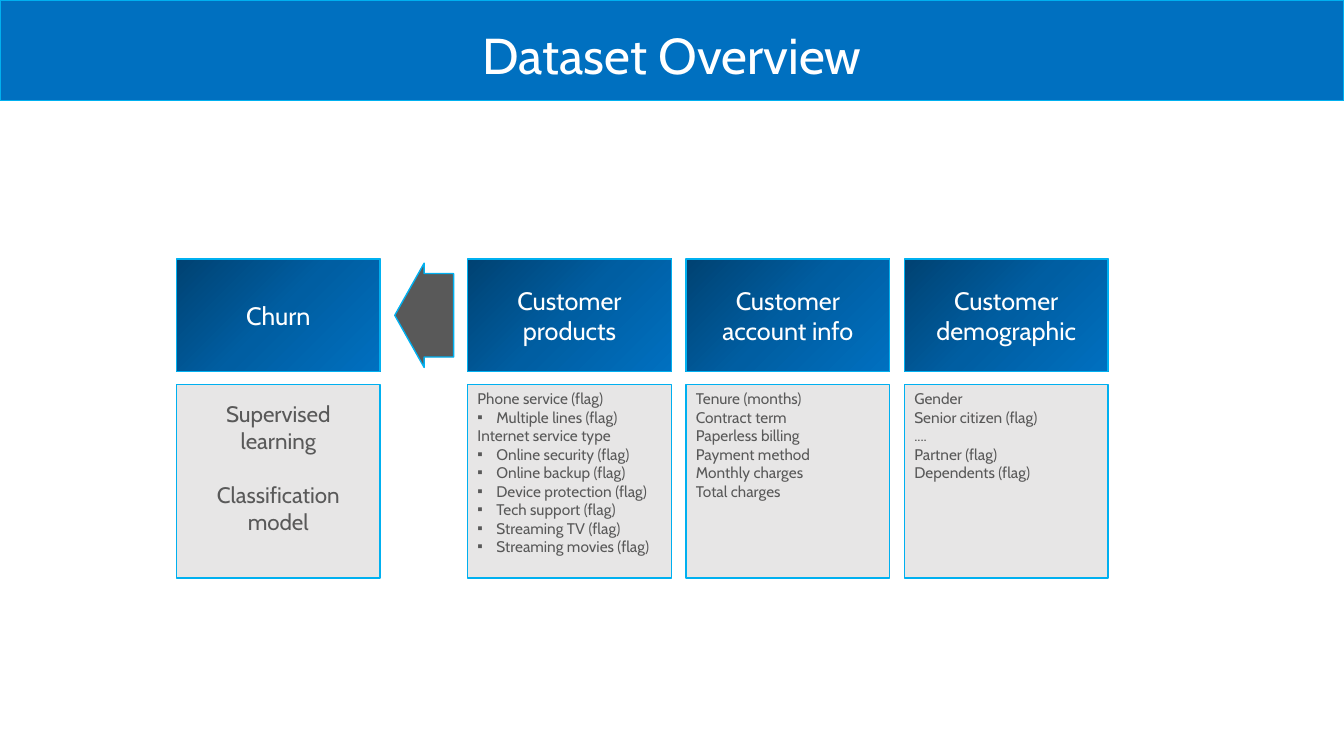
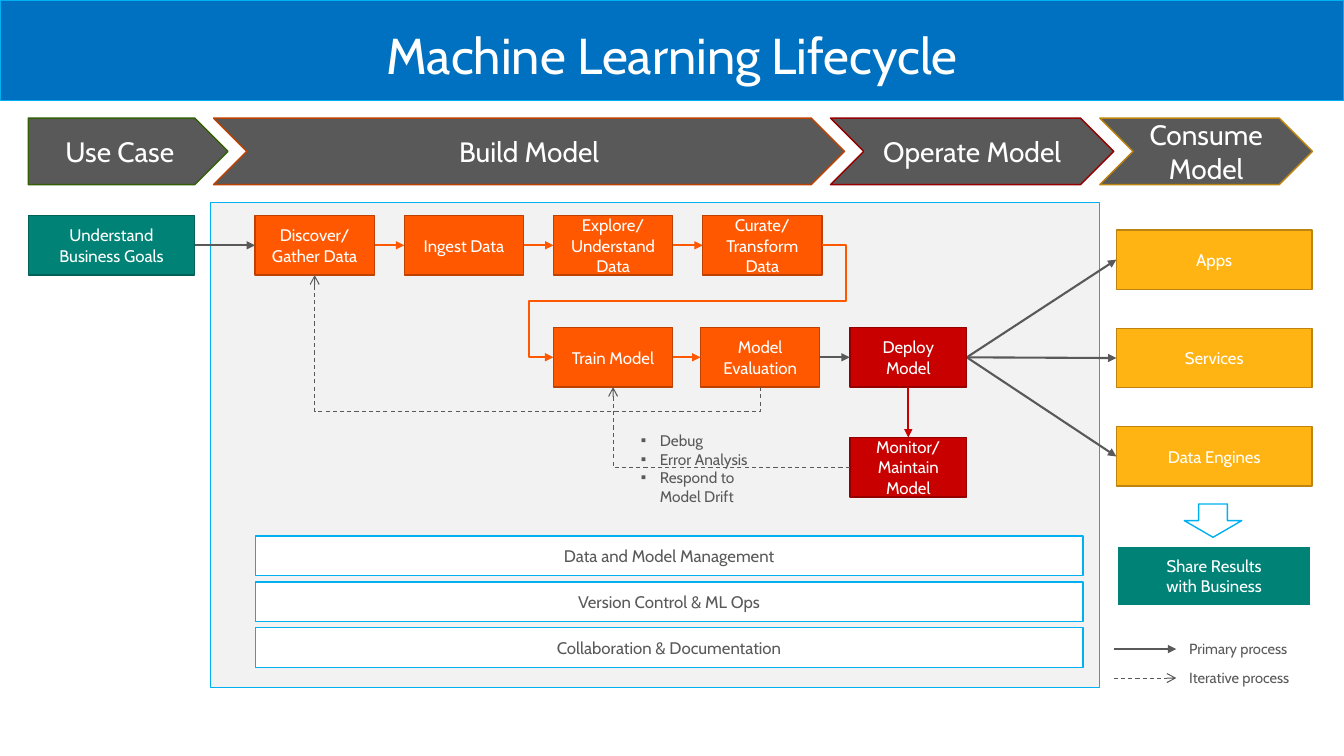
"""Build two slides: a dataset overview and the machine learning lifecycle."""
from copy import deepcopy

from lxml.etree import SubElement
from pptx import Presentation
from pptx.dml.color import RGBColor
from pptx.enum.dml import MSO_LINE
from pptx.enum.shapes import MSO_CONNECTOR, MSO_SHAPE
from pptx.enum.text import MSO_ANCHOR, PP_ALIGN
from pptx.oxml.ns import qn
from pptx.util import Pt

FONT = "Cabin"
WHITE = RGBColor(0xFF, 0xFF, 0xFF)
BLUE = RGBColor(0x00, 0x70, 0xC0)
MIDDLE_BLUE = RGBColor(0x00, 0x5E, 0xA2)
DARK_BLUE = RGBColor(0x00, 0x42, 0x72)
SKY = RGBColor(0x00, 0xB0, 0xF0)
GRAY = RGBColor(0x59, 0x59, 0x59)
LIGHT_GRAY = RGBColor(0xE7, 0xE6, 0xE6)
PALE_GRAY = RGBColor(0xF2, 0xF2, 0xF2)
TEAL = RGBColor(0x00, 0x83, 0x76)
DARK_TEAL = RGBColor(0x00, 0x61, 0x57)
ORANGE = RGBColor(0xFF, 0x58, 0x00)
DARK_ORANGE = RGBColor(0xBD, 0x41, 0x00)
RED = RGBColor(0xC8, 0x00, 0x00)
DARK_RED = RGBColor(0x94, 0x00, 0x00)
YELLOW = RGBColor(0xFF, 0xB4, 0x14)
DARK_YELLOW = RGBColor(0xBD, 0x85, 0x0F)
DARK_GREEN = RGBColor(0x35, 0x5F, 0x07)
BLUE_GRADIENT = (DARK_BLUE, MIDDLE_BLUE, BLUE)
BULLET = "▪"
BULLET_INDENT = Pt(13.5)


def add_box(slide, bounds, text="", kind=MSO_SHAPE.RECTANGLE, fill=None, line=SKY,
            line_width=1, size=12, color=WHITE, align=PP_ALIGN.CENTER,
            anchor=MSO_ANCHOR.MIDDLE, wrap=True, space_before=0, bottom_inset=3.6):
    """Add a shape, or a text box when there is no fill, with formatted text."""
    bounds = [Pt(value) for value in bounds]
    if fill is None:
        shape = slide.shapes.add_textbox(*bounds)
    else:
        shape = slide.shapes.add_shape(kind, *bounds)
        shape.shadow.inherit = False
        shape.line.color.rgb = line
        shape.line.width = Pt(line_width)
        if fill is BLUE_GRADIENT:
            shape.fill.gradient()
            shape.fill.gradient_angle = 315
            stops = shape._element.find(".//" + qn("a:gsLst"))
            stops.insert(1, deepcopy(stops[0]))
            for index, stop in enumerate(shape.fill.gradient_stops):
                stop.color.rgb = fill[index]
                stop.position = index / 2
        else:
            shape.fill.solid()
            shape.fill.fore_color.rgb = fill
    if not text:
        return shape
    frame = shape.text_frame
    frame.word_wrap = wrap
    frame.vertical_anchor = anchor
    frame.margin_bottom = Pt(bottom_inset)
    for index, content in enumerate(text.split("\n")):
        paragraph = frame.add_paragraph() if index else frame.paragraphs[0]
        paragraph.text = content.removeprefix(BULLET)
        paragraph.alignment = align
        if index and space_before:
            paragraph.space_before = Pt(space_before)
        if content.startswith(BULLET):
            properties = paragraph._p.get_or_add_pPr()
            properties.set("marL", str(BULLET_INDENT))
            properties.set("indent", str(-BULLET_INDENT))
            SubElement(properties, qn("a:buFont"), typeface="Arial")
            SubElement(properties, qn("a:buChar"), char=BULLET)
        for run in paragraph.runs:
            run.font.name = FONT
            run.font.size = Pt(size)
            run.font.color.rgb = color
    return shape


def add_arrow(slide, begin, end, color=GRAY, iterative=False, preset="line",
              adjustments=(), rotation=0):
    """Add an arrow; an elbow preset may be turned by quarter turns."""
    center_x, center_y = (begin[0] + end[0]) / 2, (begin[1] + end[1]) / 2
    half_x, half_y = end[0] - center_x, end[1] - center_y
    for turn in range(rotation // 90):
        half_x, half_y = half_y, -half_x
    connector = slide.shapes.add_connector(
        MSO_CONNECTOR.STRAIGHT, Pt(center_x - half_x), Pt(center_y - half_y),
        Pt(center_x + half_x), Pt(center_y + half_y))
    connector.line.color.rgb = color
    connector.line.width = Pt(0.75 if iterative else 1.5)
    if iterative:
        connector.line.dash_style = MSO_LINE.DASH
    properties = connector._element.spPr
    SubElement(properties.find(qn("a:ln")), qn("a:tailEnd"),
               type="arrow" if iterative else "triangle")
    SubElement(properties, qn("a:effectLst"))
    if rotation:
        properties.find(qn("a:xfrm")).set("rot", str(rotation * 60000))
    geometry = properties.find(qn("a:prstGeom"))
    geometry.set("prst", preset)
    for number, value in enumerate(adjustments, 1):
        SubElement(geometry.find(qn("a:avLst")), qn("a:gd"), name=f"adj{number}",
                   fmla=f"val {round(value * 100000)}")


presentation = Presentation()
presentation.slide_width = Pt(960)
presentation.slide_height = Pt(540)
slides = []
for title in ("Dataset Overview", "Machine Learning Lifecycle"):
    slide = presentation.slides.add_slide(presentation.slide_layouts[6])
    add_box(slide, (0, 0, 960, 72), fill=BLUE)
    add_box(slide, (0, 13.7, 960, 51), title, size=36, anchor=MSO_ANCHOR.TOP)
    slides.append(slide)
overview, lifecycle = slides

CARD_WIDTH = 145.6
feature_cards = [
    ("Customer products",
     "Phone service (flag)\n▪Multiple lines (flag)\nInternet service type\n"
     "▪Online security (flag)\n▪Online backup (flag)\n▪Device protection (flag)\n"
     "▪Tech support (flag)\n▪Streaming TV (flag)\n▪Streaming movies (flag)"),
    ("Customer account info",
     "Tenure (months)\nContract term\nPaperless billing\nPayment method\n"
     "Monthly charges\nTotal charges"),
    ("Customer demographic",
     "Gender\nSenior citizen (flag)\n....\nPartner (flag)\nDependents (flag)"),
]
target_style = dict(size=16, space_before=19.3, bottom_inset=22.9)
feature_style = dict(size=11, align=PP_ALIGN.LEFT, anchor=MSO_ANCHOR.TOP)
cards = [(126, "Churn", "Supervised learning\nClassification model", target_style)]
for index, (heading, details) in enumerate(feature_cards):
    cards.append((334 + 156 * index, heading, details, feature_style))
for left, heading, details, style in cards:
    add_box(overview, (left, 185, CARD_WIDTH, 80.6), heading, fill=BLUE_GRADIENT, size=18)
    add_box(overview, (left, 274.5, CARD_WIDTH, 138.4), details, fill=LIGHT_GRAY,
            color=GRAY, **style)
target_arrow = add_box(overview, (282, 188, 42, 74.5), kind=MSO_SHAPE.LEFT_ARROW, fill=GRAY)
target_arrow.adjustments[0] = 0.8

add_box(lifecycle, (150.5, 144.7, 635, 346.3), fill=PALE_GRAY)
foundations = ("Data and Model Management", "Version Control & ML Ops",
               "Collaboration & Documentation")
for index, foundation in enumerate(foundations):
    add_box(lifecycle, (182.4, 382.8 + 32.8 * index, 591.2, 28.2), foundation,
            fill=WHITE, color=GRAY)

phases = [
    (20.2, 142.6, "Use Case", DARK_GREEN, MSO_SHAPE.PENTAGON),
    (152.6, 450.7, "Build Model", DARK_ORANGE, MSO_SHAPE.CHEVRON),
    (593.2, 202.4, "Operate Model", DARK_RED, MSO_SHAPE.CHEVRON),
    (785.6, 151.9, "Consume Model", DARK_YELLOW, MSO_SHAPE.CHEVRON),
]
for left, width, phase, outline, kind in phases:
    add_box(lifecycle, (left, 84.4, width, 47.5), phase, kind=kind, fill=GRAY,
            line=outline, size=20)

STEP_HEIGHT = 42.5
STEP_WIDTH = 85.2
STEP_PITCH = 106.6
STEP_LEFT = 182.2
DATA_TOP, MODEL_TOP, MONITOR_TOP = 154, 234, 312.5
DATA_MIDDLE, MODEL_MIDDLE, MONITOR_MIDDLE = (
    top + STEP_HEIGHT / 2 for top in (DATA_TOP, MODEL_TOP, MONITOR_TOP))
TRAIN_LEFT, EVALUATION_LEFT = 395.3, 500.4
DEPLOY_LEFT, DEPLOY_WIDTH = 607, 83.6
DEPLOY_RIGHT = DEPLOY_LEFT + DEPLOY_WIDTH
DEPLOY_CENTER = DEPLOY_LEFT + DEPLOY_WIDTH / 2
OUTPUT_LEFT = 797.4

steps = [
    (20.2, DATA_TOP, 118.8, "Understand Business Goals", TEAL, DARK_TEAL),
    (TRAIN_LEFT, MODEL_TOP, STEP_WIDTH, "Train Model", ORANGE, DARK_ORANGE),
    (EVALUATION_LEFT, MODEL_TOP, STEP_WIDTH, "Model Evaluation", ORANGE, DARK_ORANGE),
    (DEPLOY_LEFT, MODEL_TOP, DEPLOY_WIDTH, "Deploy Model", RED, DARK_RED),
    (DEPLOY_LEFT, MONITOR_TOP, DEPLOY_WIDTH, "Monitor/\nMaintain Model", RED, DARK_RED),
]
data_steps = ("Discover/\nGather Data", "Ingest Data", "Explore/\nUnderstand\nData",
              "Curate/\nTransform\nData")
for index, step in enumerate(data_steps):
    left = STEP_LEFT + STEP_PITCH * index
    steps.append((left, DATA_TOP, STEP_WIDTH, step, ORANGE, DARK_ORANGE))
    if index:
        add_arrow(lifecycle, (left - STEP_PITCH + STEP_WIDTH, DATA_MIDDLE),
                  (left, DATA_MIDDLE), ORANGE)
for index, output in enumerate(("Apps", "Services", "Data Engines")):
    top = 164.2 + 70.3 * index
    steps.append((OUTPUT_LEFT, top, 139.8, output, YELLOW, DARK_YELLOW))
    add_arrow(lifecycle, (DEPLOY_RIGHT, MODEL_MIDDLE), (OUTPUT_LEFT, top + STEP_HEIGHT / 2))
for left, top, width, step, fill, outline in steps:
    add_box(lifecycle, (left, top, width, STEP_HEIGHT), step, fill=fill, line=outline)

add_arrow(lifecycle, (139, DATA_MIDDLE), (STEP_LEFT, DATA_MIDDLE))
add_arrow(lifecycle, (TRAIN_LEFT + STEP_WIDTH, MODEL_MIDDLE),
          (EVALUATION_LEFT, MODEL_MIDDLE), ORANGE)
add_arrow(lifecycle, (EVALUATION_LEFT + STEP_WIDTH, MODEL_MIDDLE), (DEPLOY_LEFT, MODEL_MIDDLE))
add_arrow(lifecycle, (DEPLOY_CENTER, MODEL_TOP + STEP_HEIGHT), (DEPLOY_CENTER, MONITOR_TOP), RED)
add_arrow(lifecycle, (STEP_LEFT + 3 * STEP_PITCH + STEP_WIDTH, DATA_MIDDLE),
          (TRAIN_LEFT, MODEL_MIDDLE), ORANGE, preset="bentConnector5",
          adjustments=(-0.09, 0.5, 1.09))
add_arrow(lifecycle, (EVALUATION_LEFT + STEP_WIDTH / 2, MODEL_TOP + STEP_HEIGHT),
          (STEP_LEFT + STEP_WIDTH / 2, DATA_TOP + STEP_HEIGHT), iterative=True,
          preset="bentConnector3", adjustments=(-0.22,), rotation=90)
add_arrow(lifecycle, (DEPLOY_LEFT, MONITOR_MIDDLE),
          (TRAIN_LEFT + STEP_WIDTH / 2, MODEL_TOP + STEP_HEIGHT), iterative=True,
          preset="bentConnector2", rotation=180)
add_box(lifecycle, (450.7, 304.6, 107.3, 60.5),
        "▪Debug\n▪Error Analysis\n▪Respond to Model Drift", size=11, color=GRAY,
        align=PP_ALIGN.LEFT, anchor=MSO_ANCHOR.TOP)

add_box(lifecycle, (846, 360, 41, 23.8), kind=MSO_SHAPE.DOWN_ARROW, fill=WHITE)
add_box(lifecycle, (797.8, 390.2, 139, STEP_HEIGHT), "Share Results\vwith Business",
        fill=TEAL, line=WHITE, line_width=1.5)
for index, label in enumerate(("Primary process", "Iterative process")):
    middle = 463.6 + 20.7 * index
    add_arrow(lifecycle, (795.6, middle), (840.2, middle), iterative=index == 1)
    add_box(lifecycle, (842.4, middle - 10.3, 94, 20), label, size=10.5, color=GRAY,
            align=PP_ALIGN.LEFT, anchor=MSO_ANCHOR.TOP, wrap=False)

presentation.save("out.pptx")
